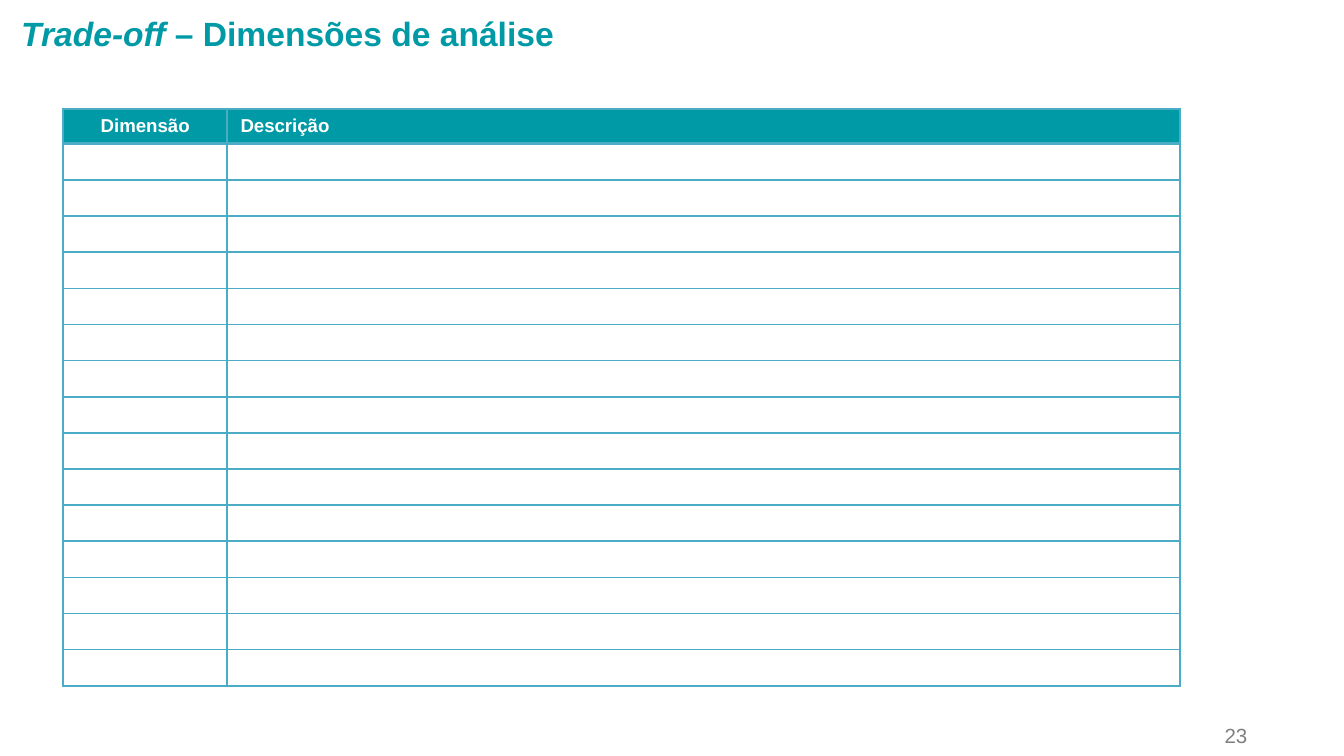
from dataclasses import dataclass

from lxml import etree
from pptx import Presentation
from pptx.dml.color import RGBColor
from pptx.enum.text import MSO_ANCHOR, PP_ALIGN
from pptx.oxml.ns import qn
from pptx.util import Inches, Pt

LEFT, CENTER, RIGHT = PP_ALIGN.LEFT, PP_ALIGN.CENTER, PP_ALIGN.RIGHT
TOP, MIDDLE = MSO_ANCHOR.TOP, MSO_ANCHOR.MIDDLE
FONT = "Arial"
COLORS = {"teal": "009AA6", "line": "4BACC6", "grey": "808080", "white": "FFFFFF"}

SLIDE_W = 10
SLIDE_H = SLIDE_W * 9 / 16
BODY_ROWS = 15
HEADER_H = 0.26
BODY_H = 4.03 / BODY_ROWS


@dataclass
class Run:
    text: str
    size: float
    color: str
    bold: bool = False
    italic: bool = False


@dataclass
class Label:
    box: tuple[float, float, float, float]
    runs: list[Run]
    align: PP_ALIGN = LEFT
    anchor: MSO_ANCHOR = TOP
    spacing: float = 1.0


@dataclass
class Column:
    heading: str
    width: float
    align: PP_ALIGN


LABELS = [
    Label((8.46, 5.34, 0.92, 0.29), [Run("23", 11, "grey")], RIGHT, MIDDLE, 0.8),
    Label((0.06, 0.05, 8.8, 0.4), [
        Run("Trade-off ", 18, "teal", bold=True, italic=True),
        Run("– Dimensões de análise", 18, "teal", bold=True),
    ]),
]
COLUMNS = [Column("Dimensão", 1.22, CENTER), Column("Descrição", 7.09, LEFT)]


def rgb(name: str) -> RGBColor:
    return RGBColor.from_string(COLORS[name])


def add_run(p, run: Run) -> None:
    r = p.add_run()
    r.text = run.text
    r.font.name = FONT
    r.font.size = Pt(run.size)
    r.font.bold = run.bold
    r.font.italic = run.italic
    r.font.color.rgb = rgb(run.color)


def add_label(s, label: Label) -> None:
    sp = s.shapes.add_textbox(*map(Inches, label.box))
    tf = sp.text_frame
    tf.word_wrap = True
    tf.vertical_anchor = label.anchor
    p = tf.paragraphs[0]
    p.alignment = label.align
    p.line_spacing = label.spacing
    for run in label.runs:
        add_run(p, run)


def set_borders(cell, top: float, bottom: float) -> None:
    # Borders must precede the fill in the cell properties
    tc_pr = cell._tc.get_or_add_tcPr()
    widths = {"a:lnL": 1, "a:lnR": 1, "a:lnT": top, "a:lnB": bottom}
    for i, (tag, width) in enumerate(widths.items()):
        ln = etree.Element(qn(tag), w=str(Pt(width)))
        fill = etree.SubElement(ln, qn("a:solidFill"))
        etree.SubElement(fill, qn("a:srgbClr"), val=COLORS["line"])
        tc_pr.insert(i, ln)


def add_grid(s, left: float, top: float, columns: list[Column]) -> None:
    width = sum(c.width for c in columns)
    height = HEADER_H + BODY_ROWS * BODY_H
    sp = s.shapes.add_table(BODY_ROWS + 1, len(columns), Inches(left), Inches(top),
                            Inches(width), Inches(height))
    table = sp.table
    for column, grid_col in zip(columns, table.columns):
        grid_col.width = Inches(column.width)
    for i, row in enumerate(table.rows):
        row.height = Inches(BODY_H if i else HEADER_H)
        for column, cell in zip(columns, row.cells):
            cell.vertical_anchor = MIDDLE
            cell.fill.solid()
            cell.fill.fore_color.rgb = rgb("white" if i else "teal")
            p = cell.text_frame.paragraphs[0]
            p.alignment = column.align
            if i == 0:
                add_run(p, Run(column.heading, 10, "white", bold=True))
            else:
                p.font.size = Pt(10)
            # A heavier line parts the header from the body
            set_borders(cell, top=2 if i == 1 else 1, bottom=1 if i else 2)


def main() -> None:
    prs = Presentation()
    prs.slide_width, prs.slide_height = Inches(SLIDE_W), Inches(SLIDE_H)
    s = prs.slides.add_slide(prs.slide_layouts[6])

    # Table of dimensions
    add_grid(s, 0.47, 0.81, COLUMNS)

    # Page number and title
    for label in LABELS:
        add_label(s, label)

    prs.save("out.pptx")


if __name__ == "__main__":
    main()
